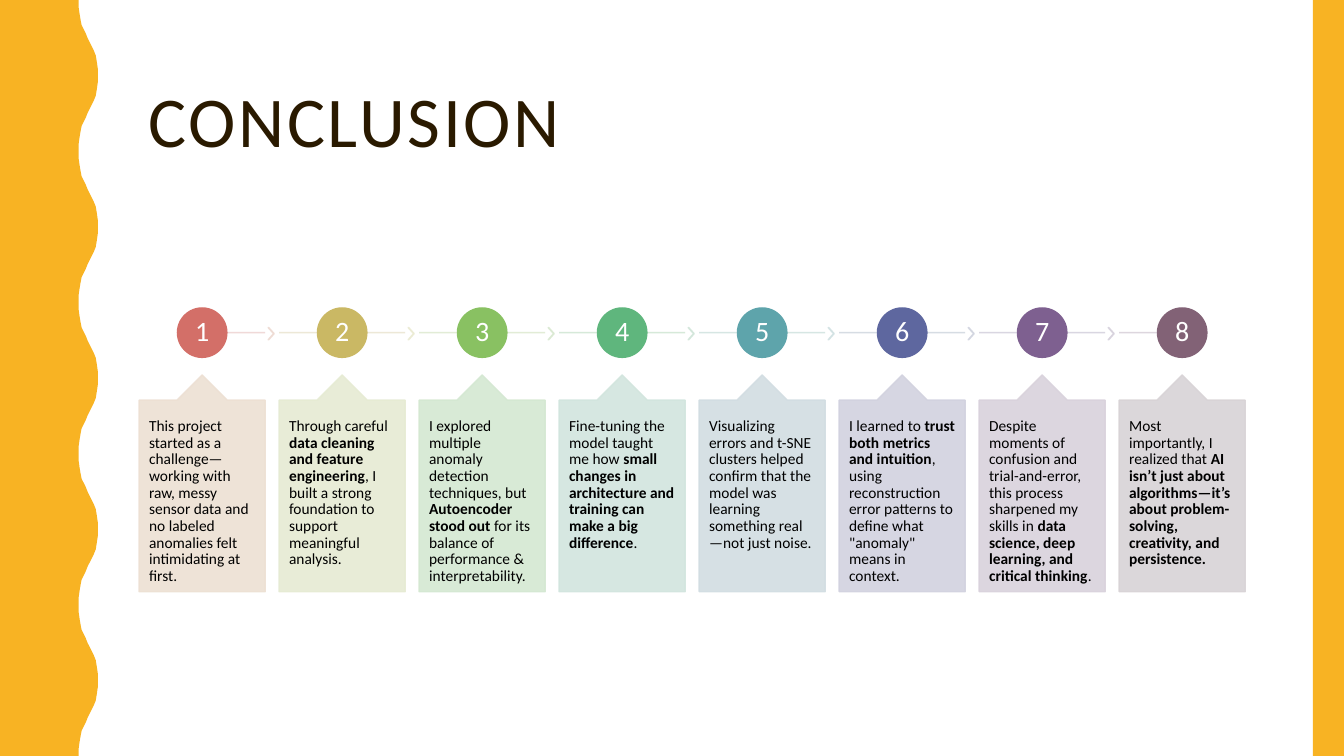
from lxml import etree
from pptx import Presentation
from pptx import util as u
from pptx.dml.color import RGBColor
from pptx.enum import shapes, text
from pptx.oxml import ns

WIDTH, HEIGHT = u.Inches(13.33), u.Inches(7.5)
GOLD, DARK = "F8B323", "2A1A00"
FIRST, PITCH, CARD = u.Inches(1.38), u.Inches(9.72) // 7, u.Inches(1.25)
AXIS, DISC = u.Inches(3.3), u.Inches(0.49)
CARD_TOP, CARD_HEIGHT = u.Inches(3.72), u.Inches(2.15)
MARK_WIDTH, MARK_HEIGHT = u.Inches(0.06), u.Inches(0.12)


def paint(shape, color, opacity=100, outlined=True):
    formats = [shape.line] if outlined else []
    if hasattr(shape, "fill"):
        shape.fill.solid()
        formats.append(shape)
        shape.shadow.inherit = False
        if not outlined:
            shape.line.fill.background()
    else:
        etree.SubElement(shape._element.spPr, ns.qn("a:effectLst"))
    if outlined:
        shape.line.width = u.Pt(1)
    for item in formats:
        item.fill.solid()
        item.fill.fore_color.rgb = RGBColor.from_string(color)
    if opacity < 100:
        for tone in shape._element.spPr.iter(ns.qn("a:srgbClr")):
            etree.SubElement(tone, ns.qn("a:alpha"), val=str(opacity * 1000))


def write(shape, parts, size, color, align, anchor, inset):
    frame = shape.text_frame
    frame.word_wrap = True
    frame.vertical_anchor = anchor
    frame.margin_left = frame.margin_right = u.Inches(inset[0])
    frame.margin_top = frame.margin_bottom = u.Inches(inset[1])
    para = frame.paragraphs[0]
    para.alignment, para.line_spacing = align, 0.9
    for index, part in enumerate(parts):
        span = para.add_run()
        span.text = part
        span.font.name, span.font.size = "Calibri", u.Pt(size)
        span.font.bold = index % 2 == 1
        span.font.color.rgb = RGBColor.from_string(color)


deck = Presentation()
deck.slide_width, deck.slide_height = WIDTH, HEIGHT
page = deck.slides.add_slide(deck.slide_layouts[6])
items = page.shapes

title = items.add_textbox(u.Inches(1.37), u.Inches(0.42), u.Inches(11.13), u.Inches(1.63))
write(title, ["CONCLUSION"], 51, DARK, text.PP_ALIGN.LEFT, text.MSO_ANCHOR.MIDDLE, (0.1, 0.05))
title.text_frame.paragraphs[0].runs[0].font._element.set("spc", "200")

half_wave = [(0.78, 0), (0.78, 0.07), (0.79, 0.14), (0.8, 0.2), (0.81, 0.25),
             (0.83, 0.29), (0.85, 0.33), (0.87, 0.38), (0.89, 0.42), (0.91, 0.46),
             (0.93, 0.5), (0.95, 0.55), (0.96, 0.61), (0.97, 0.68), (0.97, 0.75)]
wave = half_wave + [(x, 1.5 - y) for x, y in half_wave[-2::-1]]
edge = [(u.Inches(x), u.Inches(y + 1.5 * turn)) for turn in range(5) for x, y in wave]
outline = items.build_freeform(0, 0)
outline.add_line_segments(edge + [(0, HEIGHT)], close=True)
paint(outline.convert_to_shape(), GOLD, outlined=False)
band = items.add_shape(shapes.MSO_SHAPE.RECTANGLE, u.Inches(13.02), 0, u.Inches(0.31), HEIGHT)
paint(band, GOLD, outlined=False)

steps = [
    ("D36F68", "EFD5D4", "EEDBD3", "EDE0D3",
     ["This project started as a challenge—working with raw, messy sensor data and no labeled anomalies felt intimidating at first."]),
    ("CAB864", "ECE6D3", "EBEBD3", "E6EBD3",
     ["Through careful ", "data cleaning and feature engineering",
      ", I built a strong foundation to support meaningful analysis."]),
    ("89C162", "DFEAD2", "DAE9D2", "D4E8D2",
     ["I explored multiple anomaly detection techniques, but ", "Autoencoder stood out",
      " for its balance of performance & interpretability."]),
    ("5FB67D", "D2E7D5", "D2E6DA", "D2E5DE",
     ["Fine-tuning the model taught me how ",
      "small changes in architecture and training can make a big difference", "."]),
    ("5EA4AB", "D2E4E1", "D2E2E3", "D2DDE2",
     ["Visualizing errors and t-SNE clusters helped confirm that the model was learning something real—not just noise."]),
    ("5E679F", "D2D9E1", "D2D5E0", "D2D2DF",
     ["I learned to ", "trust both metrics and intuition",
      ", using reconstruction error patterns to define what \"anomaly\" means in context."]),
    ("7E6090", "D5D2DE", "D7D2DD", "D9D2DC",
     ["Despite moments of confusion and trial-and-error, this process sharpened my skills in ",
      "data science, deep learning, and critical thinking", "."]),
    ("826276", "DAD2DB", None, "D8D3D6",
     ["Most importantly, I realized that ",
      "AI isn’t just about algorithms—it’s about problem-solving, creativity, and persistence."]),
]

for index, (disc_color, line_color, mark_color, card_color, story) in enumerate(steps):
    left = FIRST + index * PITCH
    middle = left + CARD // 2
    is_first, is_last = index == 0, index == len(steps) - 1

    line = items.add_connector(shapes.MSO_CONNECTOR.STRAIGHT, middle if is_first else left, AXIS,
                               middle if is_last else left + CARD, AXIS)
    paint(line, line_color, 90)

    if not is_last:
        mark = items.add_shape(shapes.MSO_SHAPE.CHEVRON, left + u.Inches(1.28), u.Inches(3.25),
                               MARK_WIDTH, MARK_HEIGHT)
        mark.adjustments[0] = 0.9
        paint(mark, mark_color, 90)

    disc = items.add_shape(shapes.MSO_SHAPE.OVAL, middle - DISC // 2, AXIS - DISC // 2, DISC, DISC)
    paint(disc, disc_color)
    write(disc, [str(index + 1)], 20, "FFFFFF", text.PP_ALIGN.CENTER,
          text.MSO_ANCHOR.MIDDLE, (0.02, 0.02))

    card = items.add_shape(shapes.MSO_SHAPE.UP_ARROW_CALLOUT, left, CARD_TOP, CARD, CARD_HEIGHT)
    for place, share in enumerate((0.5, 0.2, 0.2, 1)):
        card.adjustments[place] = share
    paint(card, card_color, 90)
    write(card, story, 11, "000000", text.PP_ALIGN.LEFT, text.MSO_ANCHOR.TOP, (0.1, 0.18))

deck.save("out.pptx")
